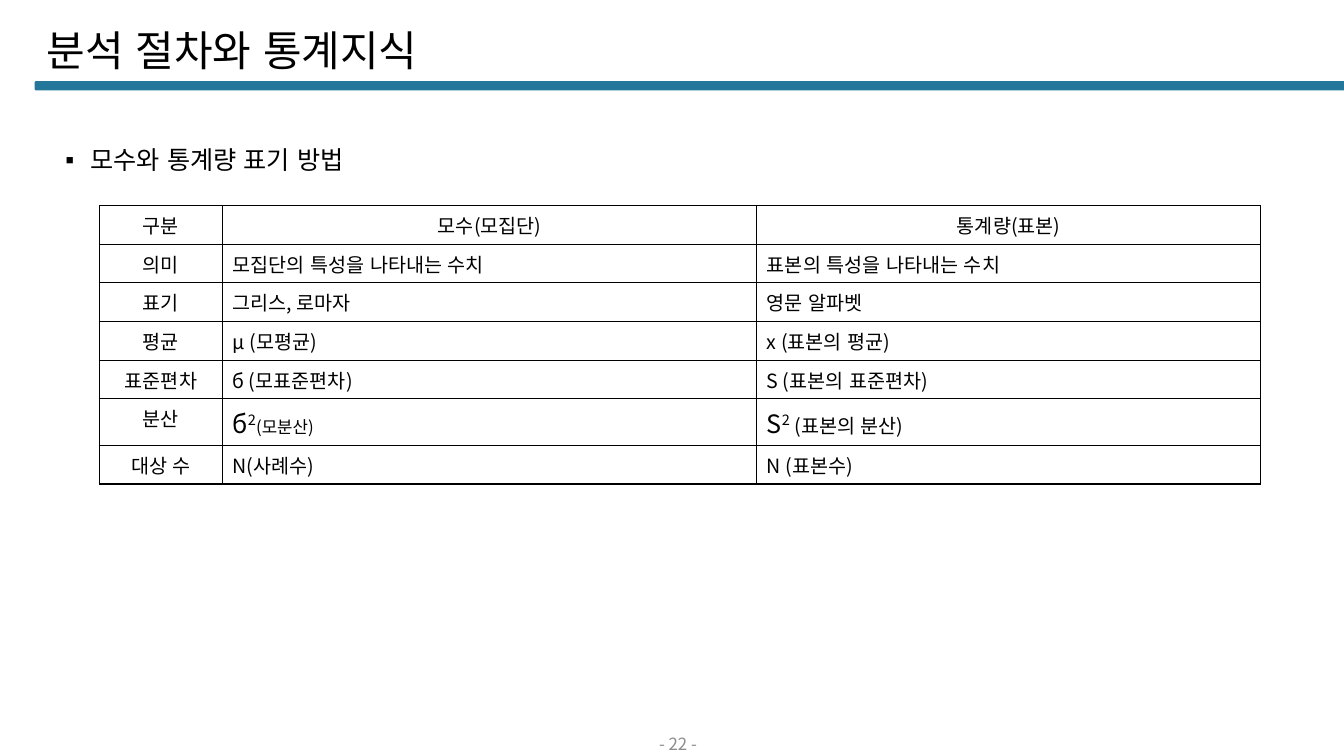
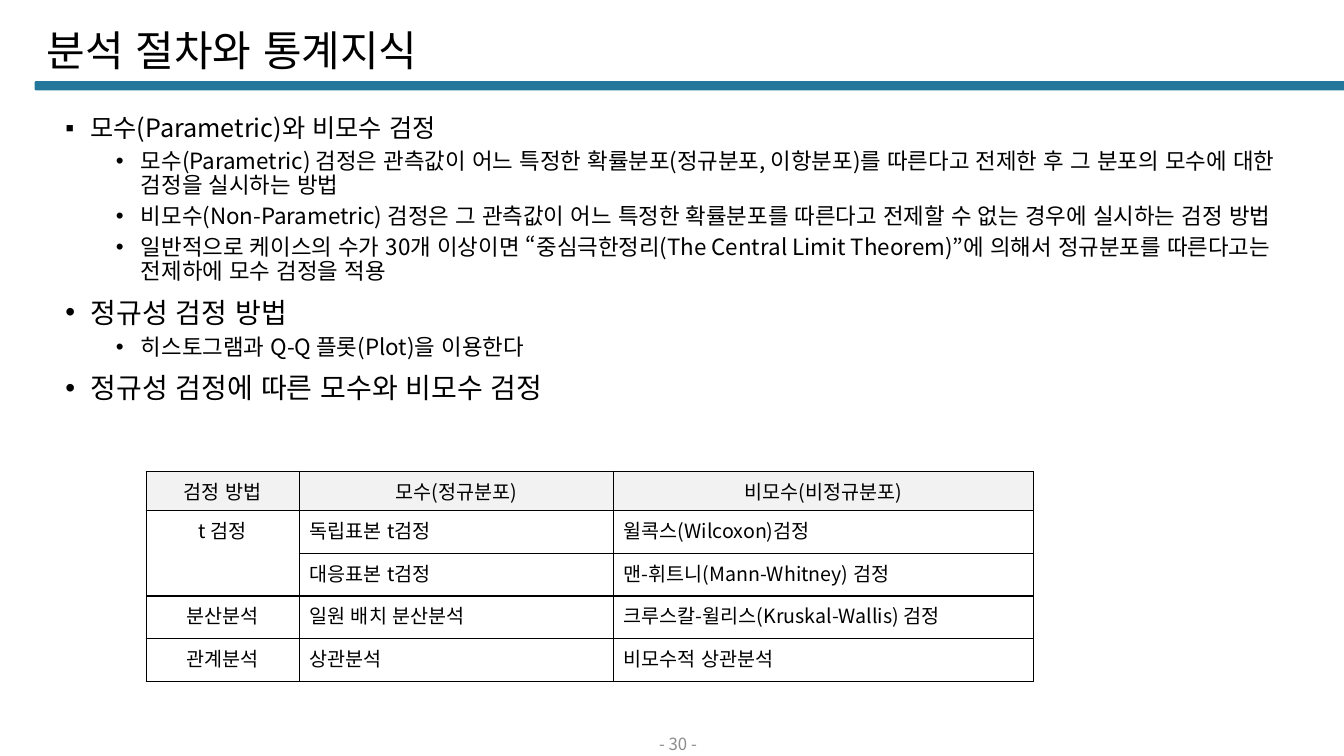
from dataclasses import dataclass

from lxml.etree import SubElement
from pptx import Presentation
from pptx.dml.color import RGBColor
from pptx.enum.shapes import MSO_SHAPE
from pptx.enum.text import MSO_ANCHOR, PP_ALIGN
from pptx.oxml.ns import qn
from pptx.util import Pt


@dataclass(frozen=True)
class Theme:
    font: str = "Noto Sans CJK KR"
    bullet_font: str = "Arial"
    language: str = "ko-KR"
    ink: str = "000000"
    band: str = "22779B"
    muted: str = "8C8C8C"
    header_fill: str = "F2F2F2"
    title: int = 30
    heading: int = 20
    topic: int = 18
    detail: int = 16
    cell: int = 14
    small: int = 12
    line_spacing: float = 0.9


THEME = Theme()
TITLE = "분석 절차와 통계지식"


@dataclass(frozen=True)
class Box:
    left: float
    top: float
    width: float
    height: float

    def lengths(self):
        return Pt(self.left), Pt(self.top), Pt(self.width), Pt(self.height)


@dataclass(frozen=True)
class Bullet:
    text: str
    size: int
    level: int = 0
    mark: str = "•"


@dataclass(frozen=True)
class Piece:
    """A part of a cell text with its own size or baseline."""
    text: str
    size: int
    raised: bool = False


TITLE_BOX = Box(26, 18, 828, 32)
BAND_BOX = Box(24.8, 58, 937, 6.5)
FOOTER_BOX = Box(372.3, 522.7, 224, 16.6)


# Text helpers
def style_paragraph(paragraph, size, color=THEME.ink):
    font = paragraph.font
    font.size = Pt(size)
    font.color.rgb = RGBColor.from_string(color)
    font.name = THEME.font
    defaults = paragraph._p.pPr.find(qn("a:defRPr"))
    defaults.set("kern", "0")
    defaults.set("lang", THEME.language)
    SubElement(defaults, qn("a:ea"), typeface=THEME.font)


def add_bullet_mark(paragraph, bullet):
    properties = paragraph._p.get_or_add_pPr()
    properties.set("marL", str(Pt(18 + 36 * bullet.level)))
    properties.set("indent", str(-Pt(18)))
    SubElement(properties, qn("a:buFont"), typeface=THEME.bullet_font)
    SubElement(properties, qn("a:buChar"), char=bullet.mark)


# Parts found on every slide
def add_title(slide, box):
    title = slide.shapes.title
    title.left, title.top, title.width, title.height = box.lengths()
    frame = title.text_frame
    frame.text = TITLE
    frame.word_wrap = True
    frame.vertical_anchor = MSO_ANCHOR.TOP
    frame.margin_top = frame.margin_bottom = Pt(3.6)
    paragraph = frame.paragraphs[0]
    paragraph.alignment = PP_ALIGN.LEFT
    paragraph.line_spacing = THEME.line_spacing
    style_paragraph(paragraph, THEME.title)


def add_band(slide, box):
    band = slide.shapes.add_shape(MSO_SHAPE.ROUNDED_RECTANGLE, *box.lengths())
    band.adjustments[0] = 0.13
    band.shadow.inherit = False
    band.fill.solid()
    band.fill.fore_color.rgb = RGBColor.from_string(THEME.band)
    band.line.fill.background()


def add_footer(slide, box, number):
    frame = slide.shapes.add_textbox(*box.lengths()).text_frame
    frame.word_wrap = True
    frame.vertical_anchor = MSO_ANCHOR.MIDDLE
    frame.margin_top = frame.margin_bottom = 0
    paragraph = frame.paragraphs[0]
    paragraph.text = f"- {number} -"
    paragraph.alignment = PP_ALIGN.CENTER
    style_paragraph(paragraph, THEME.small, THEME.muted)


def add_content_slide(presentation, number):
    slide = presentation.slides.add_slide(presentation.slide_layouts[5])
    add_band(slide, BAND_BOX)
    add_title(slide, TITLE_BOX)
    add_footer(slide, FOOTER_BOX, number)
    return slide


# Bulleted text
def add_bullets(slide, box, bullets):
    frame = slide.shapes.add_textbox(*box.lengths()).text_frame
    frame.word_wrap = True
    for index, bullet in enumerate(bullets):
        paragraph = frame.add_paragraph() if index else frame.paragraphs[0]
        paragraph.text = bullet.text
        paragraph.level = bullet.level
        paragraph.line_spacing = THEME.line_spacing
        if index:
            paragraph.space_before = Pt(5 if bullet.level else 10)
        add_bullet_mark(paragraph, bullet)
        style_paragraph(paragraph, bullet.size)


# Tables
def add_borders(cell):
    properties = cell._tc.get_or_add_tcPr()
    for index, side in enumerate(("lnL", "lnR", "lnT", "lnB")):
        line = SubElement(properties, qn(f"a:{side}"), w=str(Pt(1)))
        fill = SubElement(line, qn("a:solidFill"))
        SubElement(fill, qn("a:srgbClr"), val=THEME.ink)
        properties.insert(index, line)


def fill_cell(cell, content, centred):
    paragraph = cell.text_frame.paragraphs[0]
    paragraph.alignment = PP_ALIGN.CENTER if centred else PP_ALIGN.LEFT
    style_paragraph(paragraph, THEME.cell)
    if isinstance(content, str):
        paragraph.add_run().text = content
        return
    for piece in content:
        run = paragraph.add_run()
        run.text = piece.text
        run.font.size = Pt(piece.size)
        if piece.raised:
            run._r.get_or_add_rPr().set("baseline", "30000")


def add_grid(slide, left, top, widths, heights, rows, header_fill=None):
    box = Box(left, top, sum(widths), sum(heights))
    table = slide.shapes.add_table(len(rows), len(widths), *box.lengths()).table
    table.first_row = table.horz_banding = False
    for column, width in zip(table.columns, widths):
        column.width = Pt(width)
    for row, height in zip(table.rows, heights):
        row.height = Pt(height)
    for row_index, row in enumerate(rows):
        for column_index, content in enumerate(row):
            cell = table.cell(row_index, column_index)
            if header_fill and row_index == 0:
                cell.fill.solid()
                cell.fill.fore_color.rgb = RGBColor.from_string(header_fill)
            else:
                cell.fill.background()
            add_borders(cell)
            if content:
                fill_cell(cell, content, row_index == 0 or column_index == 0)
    return table


# Slides
def build_notation_slide(presentation):
    slide = add_content_slide(presentation, 22)
    add_bullets(slide, Box(39.6, 102.2, 882, 28.8),
                [Bullet("모수와 통계량 표기 방법", THEME.topic, mark="▪")])
    population_variance = (Piece("б", THEME.topic), Piece("2", THEME.topic, True),
                           Piece("(모분산)", THEME.small))
    sample_variance = (Piece("S", THEME.topic), Piece("2", THEME.topic, True),
                       Piece(" (표본의 분산)", THEME.cell))
    rows = [
        ("구분", "모수(모집단)", "통계량(표본)"),
        ("의미", "모집단의 특성을 나타내는 수치", "표본의 특성을 나타내는 수치"),
        ("표기", "그리스, 로마자", "영문 알파벳"),
        ("평균", "μ (모평균)", "x (표본의 평균)"),
        ("표준편차", "б (모표준편차)", "S (표본의 표준편차)"),
        ("분산", population_variance, sample_variance),
        ("대상 수", "N(사례수)", "N (표본수)"),
    ]
    heights = [27.6] * 5 + [33.4, 27.6]
    add_grid(slide, 71, 146.9, (88, 381.6, 359.9), heights, rows)


def build_test_slide(presentation):
    slide = add_content_slide(presentation, 30)
    bullets = [
        Bullet("모수(Parametric)와 비모수 검정", THEME.topic, mark="▪"),
        Bullet("모수(Parametric) 검정은 관측값이 어느 특정한 확률분포(정규분포, 이항분포)를 "
               "따른다고 전제한 후 그 분포의 모수에 대한 검정을 실시하는 방법", THEME.detail, 1),
        Bullet("비모수(Non-Parametric) 검정은 그 관측값이 어느 특정한 확률분포를 "
               "따른다고 전제할 수 없는 경우에 실시하는 검정 방법", THEME.detail, 1),
        Bullet("일반적으로 케이스의 수가 30개 이상이면 “중심극한정리(The Central Limit Theorem)”에 "
               "의해서 정규분포를 따른다고는 전제하에 모수 검정을 적용", THEME.detail, 1),
        Bullet("정규성 검정 방법", THEME.heading),
        Bullet("히스토그램과 Q-Q 플롯(Plot)을 이용한다", THEME.detail, 1),
        Bullet("정규성 검정에 따른 모수와 비모수 검정", THEME.heading),
    ]
    add_bullets(slide, Box(39.6, 79.2, 882, 244), bullets)
    rows = [
        ("검정 방법", "모수(정규분포)", "비모수(비정규분포)"),
        ("t 검정", "독립표본 t검정", "윌콕스(Wilcoxon)검정"),
        (None, "대응표본 t검정", "맨-휘트니(Mann-Whitney) 검정"),
        ("분산분석", "일원 배치 분산분석", "크루스칼-윌리스(Kruskal-Wallis) 검정"),
        ("관계분석", "상관분석", "비모수적 상관분석"),
    ]
    heights = [27.8] + [30.6] * 4
    table = add_grid(slide, 104.5, 336.8, (109.3, 224.4, 300), heights, rows,
                     THEME.header_fill)
    table.cell(1, 0).merge(table.cell(2, 0))


def main():
    presentation = Presentation()
    presentation.slide_width, presentation.slide_height = Pt(960), Pt(540)
    build_notation_slide(presentation)
    build_test_slide(presentation)
    presentation.save("out.pptx")


if __name__ == "__main__":
    main()
